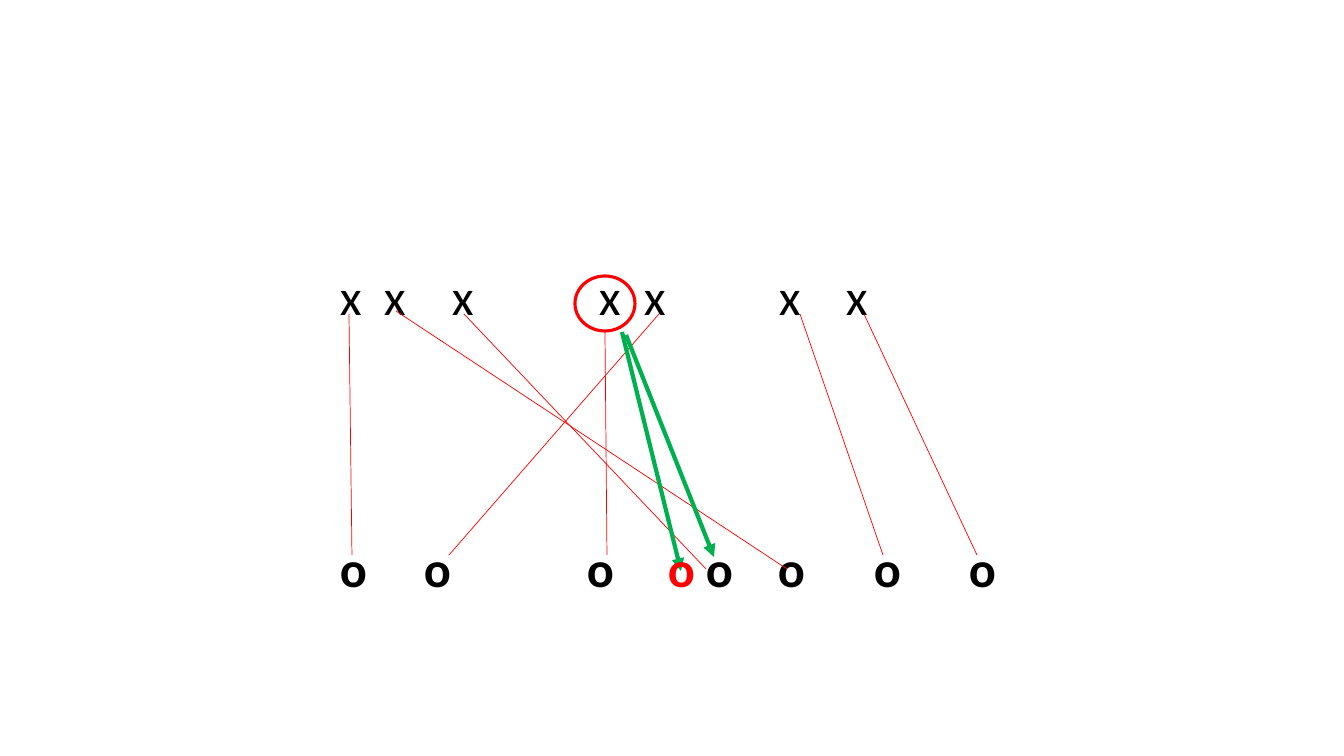
from dataclasses import dataclass

from lxml import etree
from pptx import Presentation
from pptx.dml.color import RGBColor
from pptx.enum.shapes import MSO_CONNECTOR, MSO_SHAPE
from pptx.enum.text import MSO_AUTO_SIZE
from pptx.oxml.ns import qn
from pptx.util import Pt

STRAIGHT = MSO_CONNECTOR.STRAIGHT
OVAL = MSO_SHAPE.OVAL
GROW = MSO_AUTO_SIZE.SHAPE_TO_FIT_TEXT
EMU_PER_PX = 914400 / 100.8
BLANK_LAYOUT = 6


@dataclass(frozen=True)
class Theme:
    font: str = "Calibri"
    mark_size: float = 36
    ink: str = "000000"
    red: str = "FF0000"
    green: str = "00B050"
    link_width: float = 0.5
    ring_width: float = 2.25
    arrow_width: float = 3


def px(n):
    return round(n * EMU_PER_PX)


class Board:
    def __init__(self, s, theme):
        self.s = s
        self.theme = theme

    def marks(self, mark, x, y, w, h, stops=(), color=None, bold=False):
        """Write one mark at the left edge and one more at each tab stop."""
        tf = self.s.shapes.add_textbox(px(x), px(y), px(w), px(h)).text_frame
        tf.word_wrap = True
        tf.auto_size = GROW
        p = tf.paragraphs[0]
        if stops:
            tabs = etree.SubElement(p._p.get_or_add_pPr(), qn("a:tabLst"))
            for stop in stops:
                etree.SubElement(tabs, qn("a:tab"), pos=str(px(stop)), algn="l")
        r = p.add_run()
        r.text = "\t".join([mark] * (len(stops) + 1))
        r.font.name = self.theme.font
        r.font.size = Pt(self.theme.mark_size)
        r.font.bold = bold
        r.font.color.rgb = RGBColor.from_string(color or self.theme.ink)

    def stroke(self, shape, color, width):
        shape.line.color.rgb = RGBColor.from_string(color)
        shape.line.width = Pt(width)

    def line(self, x1, y1, x2, y2, color, width):
        c = self.s.shapes.add_connector(STRAIGHT, px(x1), px(y1), px(x2), px(y2))
        self.stroke(c, color, width)
        etree.SubElement(c._element.spPr, qn("a:effectLst"))
        return c

    def link(self, *ends):
        self.line(*ends, self.theme.red, self.theme.link_width)

    def arrow(self, *ends):
        c = self.line(*ends, self.theme.green, self.theme.arrow_width)
        etree.SubElement(c.line._get_or_add_ln(), qn("a:tailEnd"), type="triangle")

    def ring(self, x, y, w, h):
        sp = self.s.shapes.add_shape(OVAL, px(x), px(y), px(w), px(h))
        sp.shadow.inherit = False
        sp.fill.background()
        self.stroke(sp, self.theme.red, self.theme.ring_width)


X_STOPS = (44, 112, 259, 304, 439, 506)
O_STOPS = (84, 247, 366, 438, 534, 629)
LEFT, X_TOP, O_TOP, ROW_H = 330, 260, 532, 72
LINKS = (
    (349, 314, 352, 555),
    (396, 311, 787, 569),
    (464, 314, 706, 569),
    (605, 332, 607, 555),
    (659, 314, 449, 555),
    (800, 314, 883, 555),
    (864, 314, 977, 555),
)


def main():
    prs = Presentation()
    prs.slide_width, prs.slide_height = px(1344), px(756)
    s = prs.slides.add_slide(prs.slide_layouts[BLANK_LAYOUT])
    theme = Theme()
    board = Board(s, theme)

    board.marks("x", LEFT, X_TOP, 554, ROW_H, X_STOPS)
    board.marks("o", LEFT, O_TOP, 695, ROW_H, O_STOPS, bold=True)
    for ends in LINKS:
        board.link(*ends)
    board.ring(575, 276, 60, 55)
    board.arrow(622, 332, 681, 571)
    board.marks("o", 658, O_TOP, 47, ROW_H, color=theme.red, bold=True)
    board.arrow(626, 335, 714, 557)

    prs.save("out.pptx")


if __name__ == "__main__":
    main()
